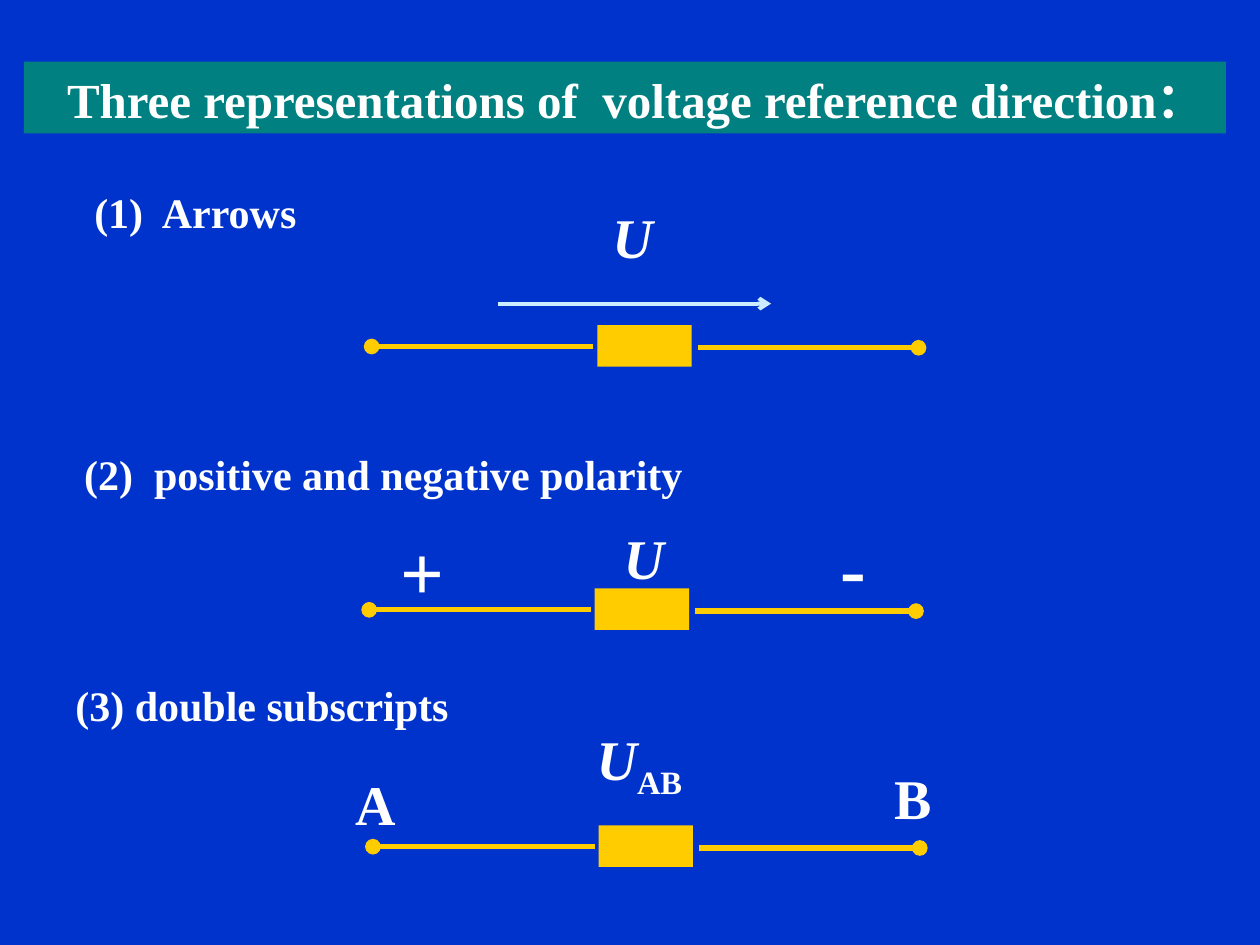
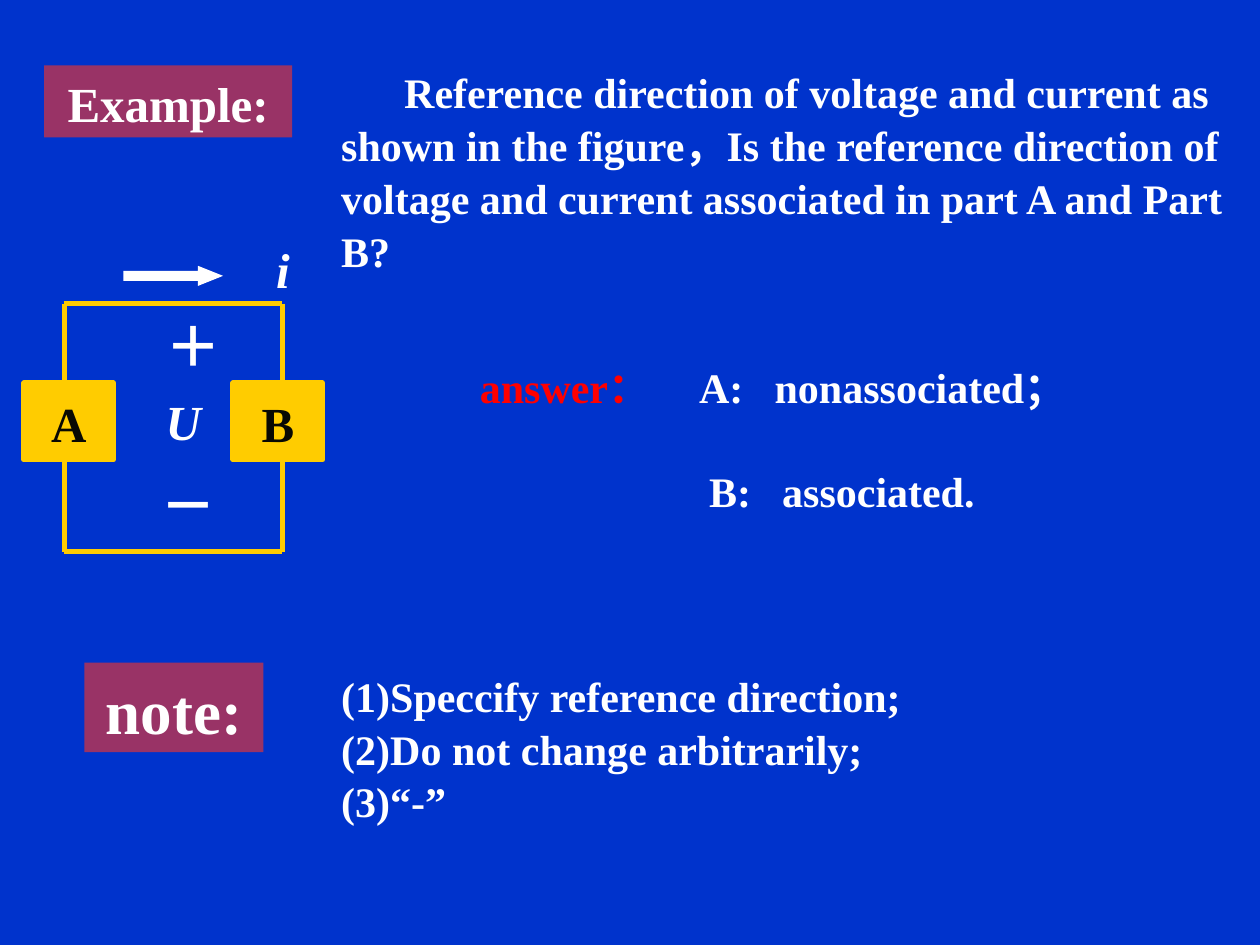
from lxml import etree
from pptx import Presentation
from pptx.dml.color import RGBColor
from pptx.enum.shapes import MSO_CONNECTOR, MSO_SHAPE
from pptx.enum.text import MSO_ANCHOR, PP_ALIGN
from pptx.oxml.ns import qn
from pptx.util import Inches, Pt

BLUE = RGBColor(0x00, 0x33, 0xCC)
TEAL = RGBColor(0x00, 0x80, 0x80)
PLUM = RGBColor(0x99, 0x33, 0x66)
GOLD = RGBColor(0xFF, 0xCC, 0x00)
PALE = RGBColor(0xCC, 0xEC, 0xFF)
WHITE = RGBColor(0xFF, 0xFF, 0xFF)
BLACK = RGBColor(0x09, 0x09, 0x03)
RED = RGBColor(0xFF, 0x00, 0x00)

RECT, ARROW = MSO_SHAPE.RECTANGLE, MSO_SHAPE.RIGHT_ARROW
STRAIGHT = MSO_CONNECTOR.STRAIGHT
LEFT, CENTER = PP_ALIGN.LEFT, PP_ALIGN.CENTER
TOP, MIDDLE = MSO_ANCHOR.TOP, MSO_ANCHOR.MIDDLE

BASE = {"name": "Times New Roman", "bold": True}


def put(slide, at, size, *paras, fill=None, align=CENTER, anchor=MIDDLE,
        wrap=False, color=WHITE, italic=False):
    """Add a text box, or a filled box; a paragraph is a string or a list of (text, format)."""
    at = [Inches(n) for n in at]
    if fill is None:
        box = slide.shapes.add_textbox(*at)
    else:
        box = slide.shapes.add_shape(RECT, *at)
        box.shadow.inherit = False
        box.fill.solid()
        box.fill.fore_color.rgb = fill
        box.line.fill.background()
    frame = box.text_frame
    frame.word_wrap = wrap
    frame.vertical_anchor = anchor
    for i, runs in enumerate(paras):
        para = frame.add_paragraph() if i else frame.paragraphs[0]
        para.alignment = align
        para.line_spacing = 1.05
        for text, extra in [(runs, {})] if isinstance(runs, str) else runs:
            run = para.add_run()
            run.text = text
            look = {**BASE, "size": Pt(size), "italic": italic, **extra}
            tint = look.pop("color", color)
            for key, value in look.items():
                setattr(run.font, key, value)
            run.font.color.rgb = tint
    return box


def wire(slide, ends, color=GOLD, width=3, tip=None):
    """Draw a straight line, with an optional tip at its far end."""
    line = slide.shapes.add_connector(STRAIGHT, *[Inches(n) for n in ends])
    line.line.color.rgb = color
    line.line.width = Pt(width)
    if tip:
        etree.SubElement(line.line._get_or_add_ln(), qn("a:tailEnd"), type=tip)
    etree.SubElement(line._element.spPr, qn("a:effectLst"))


deck = Presentation()
deck.slide_width, deck.slide_height = Inches(10), Inches(7.5)
slides = []
for _ in range(2):
    slide = deck.slides.add_slide(deck.slide_layouts[6])
    slide.background.fill.solid()
    slide.background.fill.fore_color.rgb = BLUE
    slides.append(slide)
first, second = slides

# Slide 1: three ways to mark a voltage
title = put(first, (0.19, 0.49, 9.54, 0.57), 28,
            "Three representations of  voltage reference direction：",
            fill=TEAL, wrap=True)
title.text_frame.margin_left = Inches(0.28)

for x, y, text in [(0.65, 1.42, "(1)  Arrows"),
                   (0.57, 3.5, "(2)  positive and negative polarity"),
                   (0.5, 5.33, "(3) double subscripts")]:
    put(first, (x, y, 5.2, 0.5), 24, text, align=LEFT, wrap=True)

for x, y in [(4.74, 2.58), (4.72, 4.67), (4.75, 6.55)]:
    put(first, (x, y, 0.75, 0.33), 24, fill=GOLD)
    wire(first, (x - 0.03, y + 0.17, x - 1.79, y + 0.17), tip="oval")
    wire(first, (x + 0.8, y + 0.18, x + 2.55, y + 0.18), tip="oval")
wire(first, (3.95, 2.41, 6.12, 2.41), PALE, 2.25, "arrow")

for x, y in [(4.76, 1.55), (4.85, 4.09)]:
    put(first, (x, y, 0.52, 0.63), 32, "U", italic=True)
for x, y, w, sign in [(3.08, 4.09, 0.55, "+"), (6.57, 4.06, 0.4, "-")]:
    put(first, (x, y, w, 0.83), 44, sign)
for x, y, end in [(2.72, 6.05, "A"), (6.99, 6, "B")]:
    put(first, (x, y, 0.52, 0.63), 32, end)
pair = put(first, (4.61, 5.72, 0.93, 0.63), 32,
           [("U", {"italic": True}), ("AB", {})])
sub = pair.text_frame.paragraphs[0].runs[1]
sub.font._element.set("baseline", "-25000")

# Slide 2: worked example
put(second, (0.35, 0.52, 1.97, 0.57), 28, "Example:", fill=PLUM)
put(second, (0.67, 5.26, 1.42, 0.71), 36, "note:", fill=PLUM)

west, east, north, south = 0.51, 2.24, 2.41, 4.38
for x in (west, east):
    wire(second, (x, north, x, 3.04))
    wire(second, (x, 3.59, x, south))
for y in (north, south):
    wire(second, (west, y, east, y))
for x, part in [(0.19, "A"), (1.85, "B")]:
    box = put(second, (x, 3.04, 0.71, 0.61), 28, part, fill=GOLD, color=BLACK)
    box.line.color.rgb = GOLD
    box.line.width = Pt(3)

flow = second.shapes.add_shape(ARROW, *[Inches(n) for n in (0.98, 2.11, 0.79, 0.16)])
flow.shadow.inherit = False
flow.adjustments[0], flow.adjustments[1] = 0.5, 1.245
flow.fill.solid()
flow.fill.fore_color.rgb = WHITE
flow.line.fill.background()

for x, y, w, mark in [(1.93, 1.84, 0.63, "i"), (1.14, 3.04, 0.63, "U")]:
    put(second, (x, y, w, 0.57), 28, mark, italic=True)
for x, y, sign in [(1.18, 2.41, "＋"), (1.14, 3.67, "－")]:
    put(second, (x, y, 0.71, 0.63), 32, sign)

task = put(second, (2.61, 0.46, 7.2, 1.72), 24,
           "Reference direction of voltage and current as shown in the figure，"
           "Is the reference direction of voltage and current associated in "
           "part A and Part B?", align=LEFT, anchor=TOP, wrap=True)
task.text_frame.paragraphs[0]._p.get_or_add_pPr().set("indent", str(Inches(0.5)))

reply = put(second, (3.71, 2.8, 5.7, 1.31), 24,
            [("answer：", {"color": RED}), ("\tA:\tnonassociated；", {})],
            "\tB:\tassociated.", align=LEFT, anchor=TOP, wrap=True)
rows = reply.text_frame.paragraphs
rows[1].space_before = Pt(29)
for para, stops in zip(rows, [(1.74, 2.34), (1.82, 2.4)]):
    tabs = etree.SubElement(para._p.get_or_add_pPr(), qn("a:tabLst"))
    for stop in stops:
        etree.SubElement(tabs, qn("a:tab"), pos=str(Inches(stop)), algn="l")

put(second, (2.61, 5.25, 5.55, 1.25), 24, "(1)Speccify reference direction;",
    "(2)Do not change arbitrarily;", "(3)“-”", align=LEFT, anchor=TOP, wrap=True)

deck.save("out.pptx")
